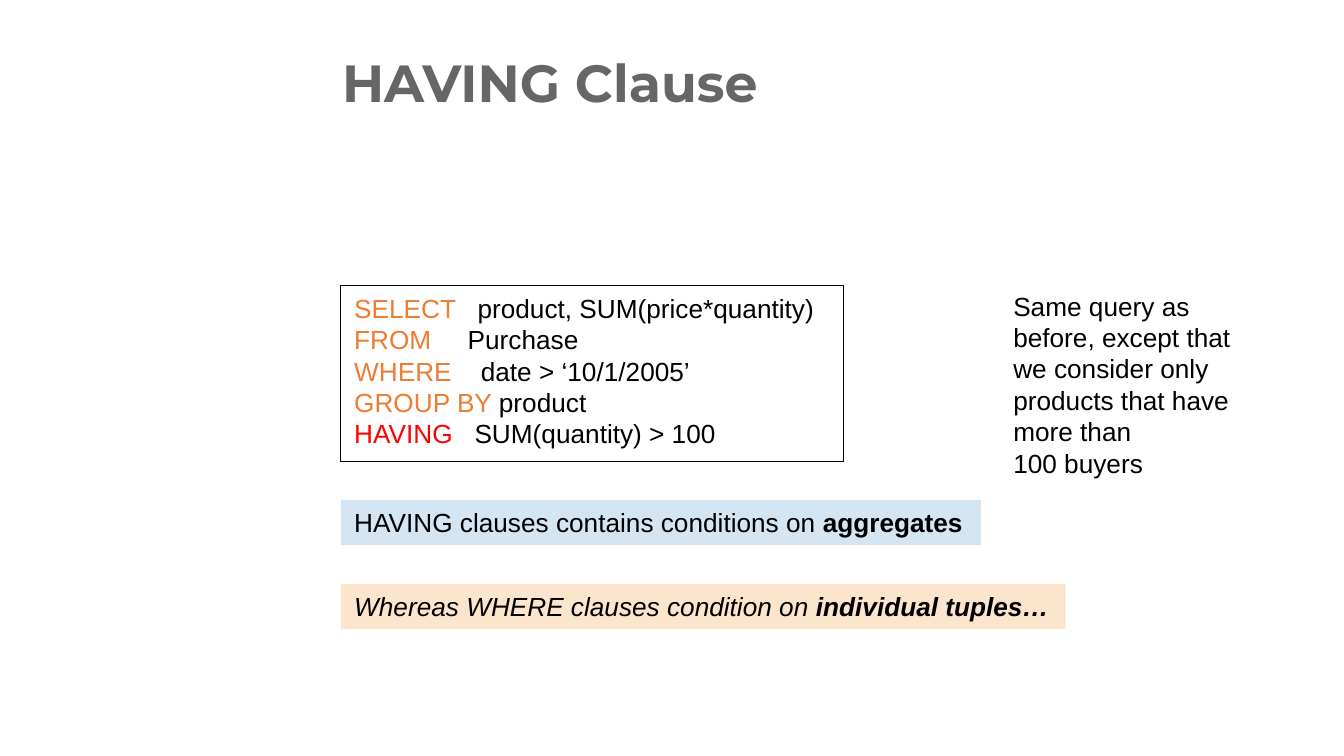
from pptx import Presentation
from pptx.dml.color import RGBColor
from pptx.enum.shapes import MSO_SHAPE
from pptx.enum.text import MSO_ANCHOR, PP_ALIGN
from pptx.util import Pt

COLORS = {
    "title": "666666", "text": "000000", "keyword": "ED7D31", "having": "FF0000",
    "paper": "FFFFFF", "blue": "D5E5F2", "peach": "FCE5CD",
}

# Content: each paragraph is a list of (text, format) runs
TITLE = [[("HAVING Clause", {"bold": True})]]
QUERY = [
    [("SELECT ", {"color": "keyword"}), ("  product, SUM(price*quantity)", {})],
    [("FROM", {"color": "keyword"}), ("     Purchase", {})],
    [("WHERE", {"color": "keyword"}), ("    date > ‘10/1/2005’", {})],
    [("GROUP BY ", {"color": "keyword"}), ("product", {})],
    [("HAVING", {"color": "having"}), ("   SUM(quantity) > 100", {})],
]
NOTE = [
    [("Same query as before, except that we consider only products that have more than", {})],
    [("100 buyers", {})],
]
AGGREGATES = [[("HAVING clauses contains conditions on ", {}), ("aggregates", {"bold": True})]]
TUPLES = [[("Whereas WHERE clauses condition on ", {"italic": True}),
           ("individual tuples…", {"italic": True, "bold": True})]]

# Layout in points
LEFT = 243.4
BAR_TOP, BAR_STEP, BAR_HEIGHT = 357, 60, 32.4
INSET = 9.6


def write(box, paragraphs, font="Arial", size=18.7, color="text", inset_y=4.8,
          anchor=MSO_ANCHOR.TOP):
    frame = box.text_frame
    frame.word_wrap = True
    frame.vertical_anchor = anchor
    frame.margin_left = frame.margin_right = Pt(INSET)
    frame.margin_top = frame.margin_bottom = Pt(inset_y)
    for index, runs in enumerate(paragraphs):
        para = frame.add_paragraph() if index else frame.paragraphs[0]
        para.alignment = PP_ALIGN.LEFT
        for text, style in runs:
            span = para.add_run()
            span.text = text
            span.font.name = font
            span.font.size = Pt(size)
            span.font.bold = style.get("bold", False)
            span.font.italic = style.get("italic", False)
            span.font.color.rgb = RGBColor.from_string(COLORS[style.get("color", color)])


def add_panel(page, top, width, height, fill, line=None):
    panel = page.shapes.add_shape(MSO_SHAPE.RECTANGLE, Pt(LEFT), Pt(top), Pt(width), Pt(height))
    panel.shadow.inherit = False
    panel.fill.solid()
    panel.fill.fore_color.rgb = RGBColor.from_string(COLORS[fill])
    if line:
        panel.line.color.rgb = RGBColor.from_string(COLORS[line])
        panel.line.width = Pt(0.75)
    else:
        panel.line.fill.background()
    return panel


def main():
    deck = Presentation()
    deck.slide_width, deck.slide_height = Pt(960), Pt(540)
    page = deck.slides.add_slide(deck.slide_layouts[6])

    # Title
    title = page.shapes.add_textbox(Pt(234.7), Pt(26.6), Pt(701.3), Pt(121.7))
    write(title, TITLE, font="Montserrat", size=37.3, color="title", inset_y=INSET)

    # Side note
    note = page.shapes.add_textbox(Pt(714.2), Pt(202.3), Pt(185), Pt(145.4))
    write(note, NOTE)

    # Query
    write(add_panel(page, 203.8, 359.3, 126, "paper", line="text"), QUERY)

    # Highlighted rules
    bars = [(AGGREGATES, 457.2, "blue"), (TUPLES, 517.7, "peach")]
    for index, (paragraphs, width, fill) in enumerate(bars):
        bar = add_panel(page, BAR_TOP + index * BAR_STEP, width, BAR_HEIGHT, fill)
        write(bar, paragraphs, anchor=MSO_ANCHOR.MIDDLE)

    deck.save("out.pptx")


if __name__ == "__main__":
    main()
